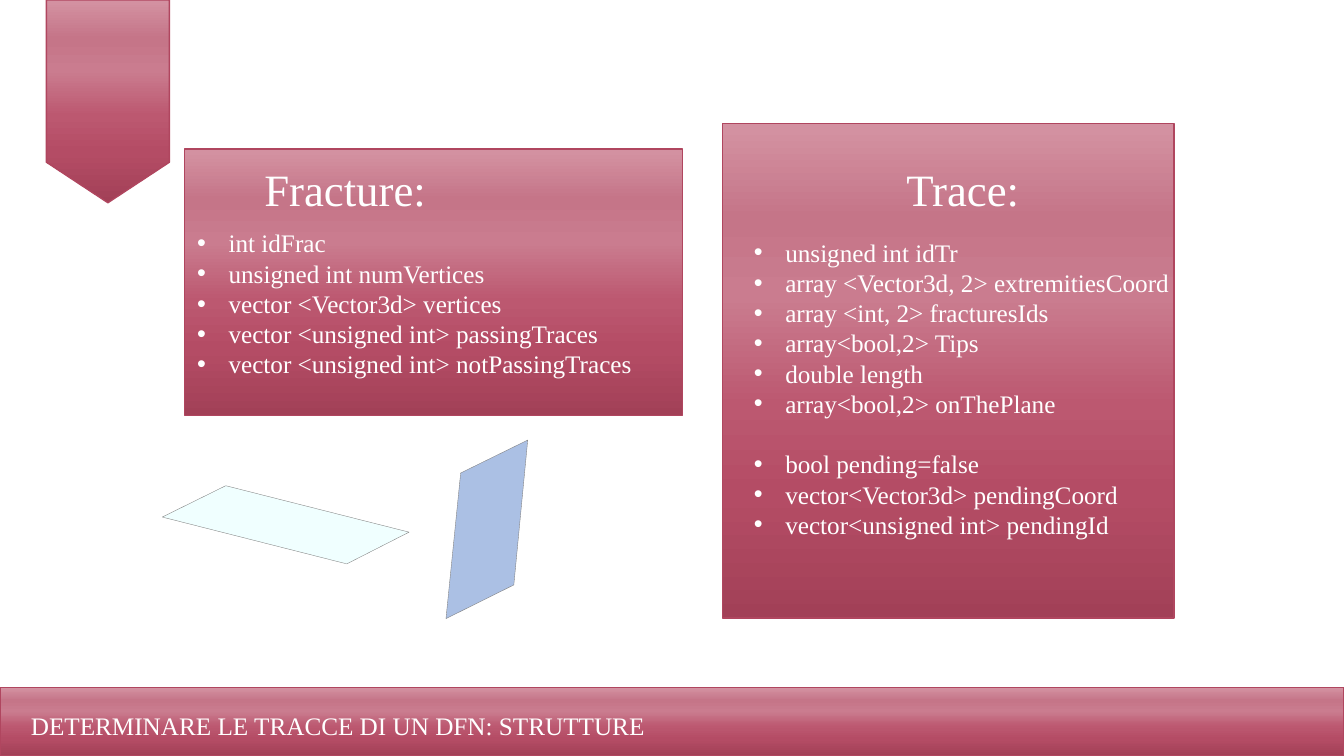
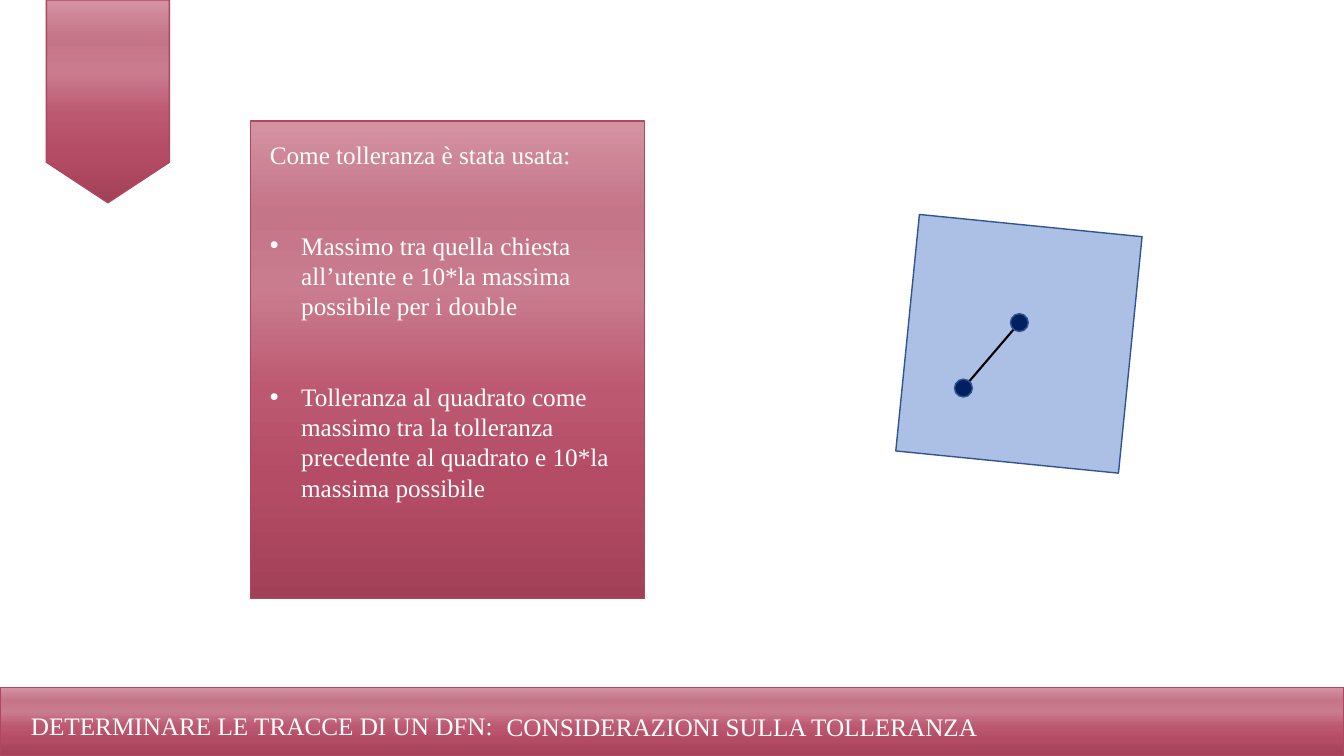
from dataclasses import dataclass

import pptx
import pptx.dml.color
import pptx.enum.shapes
import pptx.enum.text
import pptx.oxml
import pptx.oxml.ns
import pptx.util
from lxml import etree

Cm = pptx.util.Cm
Pt = pptx.util.Pt
Shape = pptx.enum.shapes.MSO_SHAPE
Anchor = pptx.enum.text.MSO_ANCHOR
qn = pptx.oxml.ns.qn


@dataclass(frozen=True)
class Theme:
    font: str = "Times New Roman"
    text: str = "FFFFFF"
    wine_line: str = "B0465F"
    wine_stops: tuple = (
        (0, "A24057"), (25, "B44C65"), (43, "BC5870"),
        (65, "CA7C8F"), (81, "C57588"), (99, "D391A1"),
    )
    plane: str = "ABC0E4"
    pale_plane: str = "F0FFFF"
    plane_line: str = "325491"
    thin_line: str = "808080"
    point: str = "002060"
    segment: str = "000000"
    title_size: float = 32
    body_size: float = 18
    line_pitch: float = 21.6


THEME = Theme()


@dataclass(frozen=True)
class Area:
    left: float
    top: float
    width: float
    height: float

    def lengths(self) -> tuple:
        return Cm(self.left), Cm(self.top), Cm(self.width), Cm(self.height)


@dataclass(frozen=True)
class Item:
    text: str
    bullet: bool = True
    lines_before: int = 0


@dataclass(frozen=True)
class Plane:
    corners: tuple
    color: str


RIBBON = Area(1.17, 0, 3.1, 5.11)
BAND = Area(0, 17.32, 33.87, 1.73)
FOOTER = Area(0.53, 17.78, 19.58, 1.02)
FOOTER_TOPIC = Area(12.52, 17.8, 12.5, 1.02)

FRACTURE_ITEMS = [
    Item("int idFrac"),
    Item("unsigned int numVertices"),
    Item("vector <Vector3d> vertices"),
    Item("vector <unsigned int> passingTraces"),
    Item("vector <unsigned int> notPassingTraces"),
]
TRACE_ITEMS = [
    Item("unsigned int idTr"),
    Item("array <Vector3d, 2> extremitiesCoord"),
    Item("array <int, 2> fracturesIds"),
    Item("array<bool,2> Tips"),
    Item("double length"),
    Item("array<bool,2> onThePlane"),
    Item("bool pending=false", lines_before=1),
    Item("vector<Vector3d> pendingCoord"),
    Item("vector<unsigned int> pendingId"),
]
TOLERANCE_ITEMS = [
    Item("Come tolleranza è stata usata:", bullet=False),
    Item("Massimo tra quella chiesta all’utente e 10*la massima possibile per i double",
         lines_before=2),
    Item("Tolleranza al quadrato come massimo tra la tolleranza precedente al quadrato "
         "e 10*la massima possibile", lines_before=2),
]
PLANES = [
    Plane(((4.09, 13.03), (5.69, 12.24), (10.31, 13.41), (8.74, 14.21)), THEME.pale_plane),
    Plane(((11.61, 11.92), (13.3, 11.09), (12.95, 14.74), (11.24, 15.59)), THEME.plane),
]
SEGMENT_ENDS = ((25.69, 8.13), (24.28, 9.78))
POINT_SIZE = 0.45


def rgb(color: str) -> pptx.dml.color.RGBColor:
    return pptx.dml.color.RGBColor.from_string(color)


def paint(shape, color: str, line: str, width: float = 1) -> None:
    shape.shadow.inherit = False
    shape.fill.solid()
    shape.fill.fore_color.rgb = rgb(color)
    shape.line.color.rgb = rgb(line)
    shape.line.width = Pt(width)


def add_wine_shape(page, area: Area, kind=Shape.RECTANGLE) -> None:
    shape = page.shapes.add_shape(kind, *area.lengths())
    paint(shape, THEME.wine_line, THEME.wine_line)
    shape.fill.gradient()
    shape.fill.gradient_angle = 90
    stops = next(shape.element.iter(qn("a:gsLst")))
    for stop in list(stops):
        stops.remove(stop)
    for percent, color in THEME.wine_stops:
        stop = etree.SubElement(stops, qn("a:gs"), pos=str(percent * 1000))
        etree.SubElement(stop, qn("a:srgbClr"), val=color)


def place(box, area: Area, anchor=Anchor.TOP) -> None:
    box.left, box.top, box.width, box.height = area.lengths()
    box.element.getparent().append(box.element)
    frame = box.text_frame
    frame.word_wrap = True
    frame.auto_size = pptx.enum.text.MSO_AUTO_SIZE.NONE
    frame.vertical_anchor = anchor
    frame.margin_left = frame.margin_right = Cm(0.25)
    frame.margin_top = frame.margin_bottom = Cm(0.13)


def format_para(para, size: float, spacing) -> None:
    para.alignment = pptx.enum.text.PP_ALIGN.LEFT
    para.line_spacing = spacing
    para.space_before = para.space_after = Pt(0)
    for span in para.runs:
        span.font.name = THEME.font
        span.font.size = Pt(size)
        span.font.color.rgb = rgb(THEME.text)


def write_line(box, area: Area, text: str) -> None:
    place(box, area)
    box.text_frame.text = text
    format_para(box.text_frame.paragraphs[0], THEME.body_size, Pt(THEME.line_pitch))


def write_heading(box, area: Area, text: str, tab_stops: tuple) -> None:
    place(box, area, Anchor.MIDDLE)
    box.text_frame.text = text
    para = box.text_frame.paragraphs[0]
    format_para(para, THEME.title_size, 0.9)
    tabs = etree.SubElement(para._p.get_or_add_pPr(), qn("a:tabLst"))
    for position in tab_stops:
        etree.SubElement(tabs, qn("a:tab"), pos=str(Cm(position)), algn="l")


def write_list(box, area: Area, items: list[Item]) -> None:
    place(box, area)
    box.text_frame.text = "\n".join(item.text for item in items)
    for para, item in zip(box.text_frame.paragraphs, items):
        format_para(para, THEME.body_size, Pt(THEME.line_pitch))
        para.space_before = Pt(item.lines_before * THEME.line_pitch)
        properties = para._p.get_or_add_pPr()
        indent = Cm(0.79) if item.bullet else 0
        properties.set("marL", str(indent))
        properties.set("indent", str(-indent))
        if item.bullet:
            etree.SubElement(properties, qn("a:buFont"), typeface="Arial")
            etree.SubElement(properties, qn("a:buChar"), char="•")
        else:
            etree.SubElement(properties, qn("a:buNone"))


def add_page(deck, layout_name: str):
    page = deck.slides.add_slide(deck.slide_layouts.get_by_name(layout_name))
    add_wine_shape(page, RIBBON, Shape.FLOWCHART_OFFPAGE_CONNECTOR)
    add_wine_shape(page, BAND)
    return page


def add_plane(page, plane: Plane) -> None:
    corners = [(Cm(x), Cm(y)) for x, y in plane.corners]
    builder = page.shapes.build_freeform(*corners[0])
    builder.add_line_segments(corners[1:], close=True)
    paint(builder.convert_to_shape(), plane.color, THEME.thin_line, 0.25)


def add_segment(page) -> None:
    ends = [Cm(value) for end in SEGMENT_ENDS for value in end]
    segment = page.shapes.add_connector(pptx.enum.shapes.MSO_CONNECTOR.STRAIGHT, *ends)
    segment.line.color.rgb = rgb(THEME.segment)
    segment.line.width = Pt(1.5)
    etree.SubElement(segment.element.spPr, qn("a:effectLst"))
    for x, y in SEGMENT_ENDS:
        area = Area(x - POINT_SIZE / 2, y - POINT_SIZE / 2, POINT_SIZE, POINT_SIZE)
        point = page.shapes.add_shape(Shape.OVAL, *area.lengths())
        paint(point, THEME.point, THEME.plane_line)


def build_structures(deck) -> None:
    page = add_page(deck, "Two Content")
    add_wine_shape(page, Area(4.65, 3.76, 12.55, 6.71))
    add_wine_shape(page, Area(18.21, 3.12, 11.38, 12.45))
    title, fracture, trace = page.placeholders[0], page.placeholders[1], page.placeholders[2]
    write_heading(title, Area(3.86, 3.86, 29.21, 1.93), "\tFracture:\tTrace:", (2.55, 18.73))
    write_list(fracture, Area(4.72, 5.61, 12.4, 4.11), FRACTURE_ITEMS)
    write_list(trace, Area(18.75, 5.84, 11.4, 7.95), TRACE_ITEMS)
    footer = page.shapes.add_textbox(*FOOTER.lengths())
    write_line(footer, FOOTER, "DETERMINARE LE TRACCE DI UN DFN: STRUTTURE")
    for plane in PLANES:
        add_plane(page, plane)


def build_tolerance(deck) -> None:
    page = add_page(deck, "Title and Content")
    add_wine_shape(page, Area(6.32, 3.05, 9.93, 12.04))
    write_line(page.shapes.title, FOOTER, "DETERMINARE LE TRACCE DI UN DFN:")
    topic = page.shapes.add_textbox(*FOOTER_TOPIC.lengths())
    write_line(topic, FOOTER_TOPIC, "CONSIDERAZIONI SULLA TOLLERANZA")
    write_list(page.placeholders[1], Area(6.55, 3.38, 9.5, 9.5), TOLERANCE_ITEMS)
    plane = page.shapes.add_shape(Shape.RECTANGLE, *Area(22.86, 5.67, 5.64, 5.99).lengths())
    plane.rotation = 5.7
    paint(plane, THEME.plane, THEME.plane_line)
    add_segment(page)


def main() -> None:
    deck = pptx.Presentation()
    deck.slide_width, deck.slide_height = Cm(33.87), Cm(19.05)
    build_structures(deck)
    build_tolerance(deck)
    deck.save("out.pptx")


if __name__ == "__main__":
    main()
